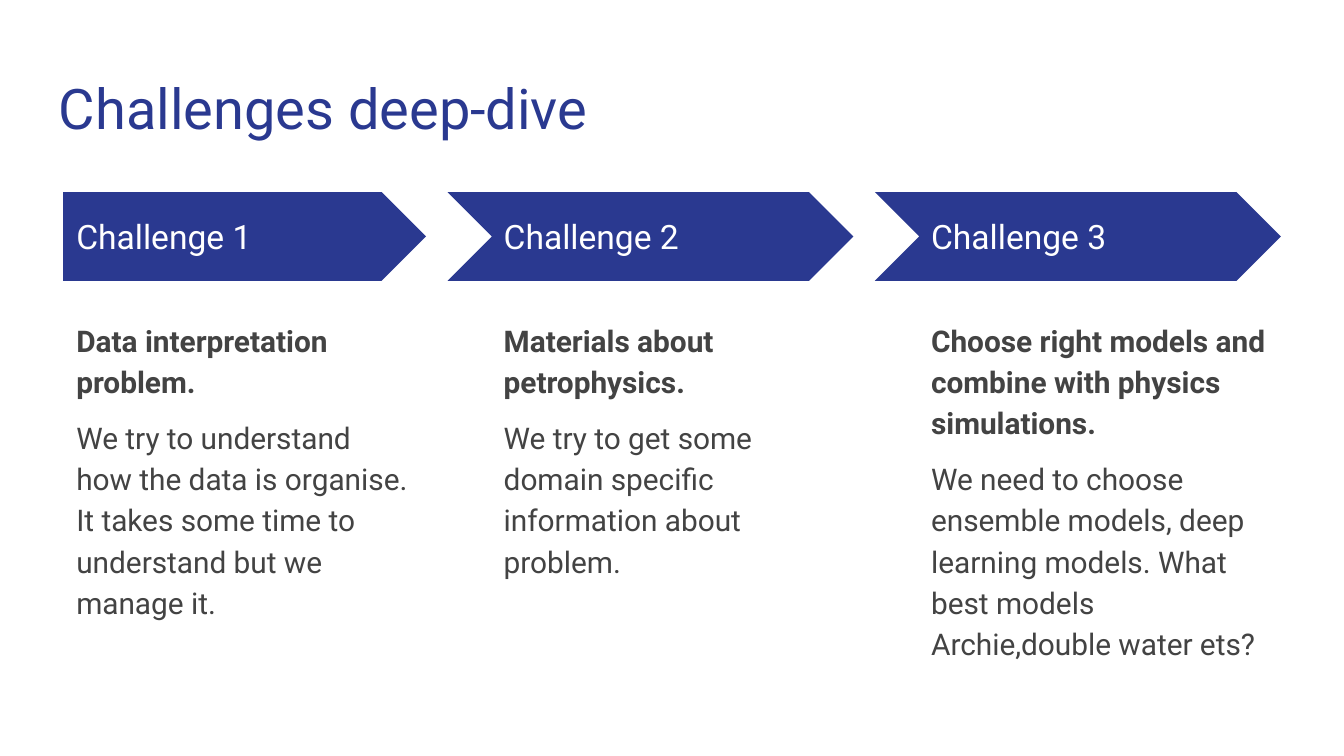
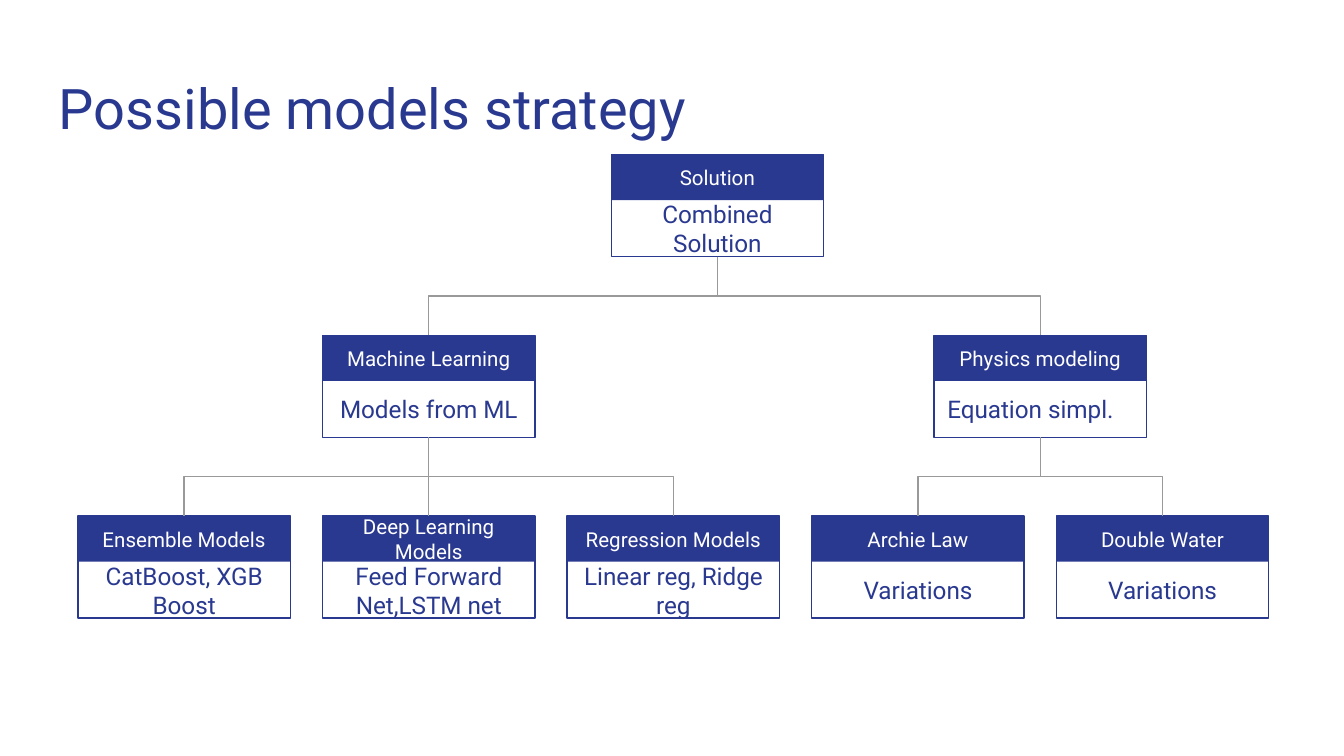
from dataclasses import dataclass
from typing import Any

from lxml import etree
from pptx import Presentation
from pptx import util as u
from pptx.dml.color import RGBColor
from pptx.enum import shapes, text
from pptx.oxml.ns import qn

COLORS = {"brand": "2A3990", "body": "434343", "white": "FFFFFF", "line": "999999"}
FONT = "Roboto"
LEFT, CENTER = text.PP_ALIGN.LEFT, text.PP_ALIGN.CENTER
TOP, MIDDLE = text.MSO_ANCHOR.TOP, text.MSO_ANCHOR.MIDDLE
SLIDE_W, SLIDE_H = 10, 10 * 9 / 16


@dataclass(frozen=True)
class Box:
    x: float
    y: float
    w: float
    h: float

    def emu(self) -> list[int]:
        return [u.Inches(v) for v in (self.x, self.y, self.w, self.h)]


@dataclass(frozen=True)
class Grid:
    x: float
    y: float
    col_pitch: float
    row_pitch: float
    w: float
    h: float

    def cell(self, col: float, row: float) -> Box:
        return Box(self.x + col * self.col_pitch, self.y + row * self.row_pitch, self.w, self.h)


@dataclass(frozen=True)
class Para:
    words: str
    size: float
    color: str
    bold: bool = False
    align: Any = LEFT
    line_spacing: float = 1.0
    space: float = 0


@dataclass(frozen=True)
class Challenge:
    label: str
    heading: str
    detail: str


@dataclass(frozen=True)
class Node:
    header: str
    detail: str
    col: float
    children: tuple["Node", ...] = ()
    align: Any = CENTER


TITLE = Box(0.34, 0.08 * SLIDE_H, SLIDE_W - 2 * 0.34, 0.66)

STEPS = Grid(x=0.47, y=1.43, col_pitch=3.18, row_pitch=0.83, w=2.7, h=0.66)
NOTCH = 0.32
STEP_LABEL_W, STEP_LABEL_H = 2.47, 0.34
DETAIL_H = 2.9

TREE = Grid(x=0.58, y=1.15, col_pitch=1.82, row_pitch=2.69 / 2, w=1.58, h=0.76)
HEADER_H, CARD_TEXT_H = 0.34, 0.21

CHALLENGES = (
    Challenge("Challenge 1", "Data interpretation problem.",
              "We try to understand how the data is organise. "
              "It takes some time to understand but we manage it."),
    Challenge("Challenge 2", "Materials about petrophysics.",
              "We try to get some domain specific information about problem."),
    Challenge("Challenge 3", "Choose right models and combine with physics simulations.",
              "We need to choose ensemble models, deep learning models. "
              "What best models Archie,double water ets?"),
)

SOLUTION = Node("Solution", "Combined Solution", 2.18, (
    Node("Machine Learning", "Models from ML", 1, (
        Node("Ensemble Models", "CatBoost, XGB Boost", 0),
        Node("Deep Learning Models", "Feed Forward Net,LSTM net", 1),
        Node("Regression Models", "Linear reg, Ridge reg", 2),
    )),
    Node("Physics modeling", "Equation simpl.", 3.5, (
        Node("Archie Law", "Variations", 3),
        Node("Double Water", "Variations", 4),
    ), LEFT),
))


def rgb(name: str) -> RGBColor:
    return RGBColor.from_string(COLORS[name])


def assign(target: Any, values: dict[str, Any]) -> None:
    for name, value in values.items():
        setattr(target, name, value)


def add_text(s: Any, box: Box, paras: list[Para], anchor: Any = TOP) -> None:
    tf = s.shapes.add_textbox(*box.emu()).text_frame
    assign(tf, {"word_wrap": True, "auto_size": text.MSO_AUTO_SIZE.NONE,
                "vertical_anchor": anchor})
    assign(tf, {f"margin_{side}": u.Inches(0.1) for side in ("left", "top", "right", "bottom")})
    for i, para in enumerate(paras):
        p = tf.add_paragraph() if i else tf.paragraphs[0]
        assign(p, {"alignment": para.align, "line_spacing": para.line_spacing,
                   "space_before": u.Pt(para.space), "space_after": u.Pt(para.space)})
        r = p.add_run()
        r.text = para.words
        assign(r.font, {"name": FONT, "size": u.Pt(para.size), "bold": para.bold})
        r.font.color.rgb = rgb(para.color)


def add_shape(s: Any, kind: Any, box: Box, filled: bool = True) -> Any:
    sp = s.shapes.add_shape(kind, *box.emu())
    sp.shadow.inherit = False
    if filled:
        sp.fill.solid()
        sp.fill.fore_color.rgb = rgb("brand")
        sp.line.fill.background()
    else:
        sp.fill.background()
        sp.line.color.rgb = rgb("brand")
        sp.line.width = u.Pt(0.75)
    return sp


def add_slide(prs: Any, title: str) -> Any:
    s = prs.slides.add_slide(prs.slide_layouts[6])
    add_text(s, TITLE, [Para(title, 30, "brand")])
    return s


def add_challenge(s: Any, col: int, item: Challenge) -> None:
    arrow = STEPS.cell(col, 0)
    kind = shapes.MSO_SHAPE.PENTAGON
    if col:
        kind = shapes.MSO_SHAPE.CHEVRON
        arrow = Box(arrow.x - NOTCH, arrow.y, arrow.w + NOTCH, arrow.h)
    add_shape(s, kind, arrow).adjustments[0] = 0.5
    label, detail = STEPS.cell(col, 0), STEPS.cell(col, 1)
    add_text(s, Box(label.x, label.y + (label.h - STEP_LABEL_H) / 2, STEP_LABEL_W, STEP_LABEL_H),
             [Para(item.label, 18, "white")], MIDDLE)
    add_text(s, Box(detail.x, detail.y, detail.w, DETAIL_H), [
        Para(item.heading, 16, "body", bold=True, line_spacing=1.15),
        Para(item.detail, 16, "body", line_spacing=1.15, space=8),
    ])


def add_card(s: Any, node: Node, row: int) -> Any:
    box = TREE.cell(node.col, row)
    frame = add_shape(s, shapes.MSO_SHAPE.RECTANGLE, box, filled=False)
    header = Box(box.x, box.y, box.w, HEADER_H)
    body = Box(box.x, box.y + HEADER_H, box.w, box.h - HEADER_H)
    add_shape(s, shapes.MSO_SHAPE.RECTANGLE, header)
    for part, para in ((header, Para(node.header, 11, "white", align=CENTER)),
                       (body, Para(node.detail, 13, "brand", align=node.align))):
        y = part.y + (part.h - CARD_TEXT_H) / 2
        add_text(s, Box(part.x, y, part.w, CARD_TEXT_H), [para], MIDDLE)
    return frame


def link(s: Any, parent: Any, child: Any) -> None:
    x1, y1 = parent.left + parent.width // 2, parent.top + parent.height
    x2, y2 = child.left + child.width // 2, child.top
    if x1 == x2:
        c = s.shapes.add_connector(shapes.MSO_CONNECTOR.STRAIGHT, x1, y1, x2, y2)
        c.begin_connect(parent, 2)
        c.end_connect(child, 0)
    else:
        drop, span = y2 - y1, abs(x2 - x1)
        left, top = (x1 + x2 - drop) // 2, (y1 + y2 - span) // 2
        c = s.shapes.add_connector(shapes.MSO_CONNECTOR.ELBOW, left, top, left + drop, top + span)
        xfrm = c._element.spPr.find(qn("a:xfrm"))
        xfrm.set("rot", str((90 if x2 < x1 else 270) * 60000))
        if x2 > x1:
            xfrm.set("flipH", "1")
    c.line.color.rgb = rgb("line")
    c.line.width = u.Pt(0.75)
    etree.SubElement(c._element.spPr, qn("a:effectLst"))


def add_tree(s: Any, node: Node, row: int = 0) -> Any:
    card = add_card(s, node, row)
    for child in node.children:
        link(s, card, add_tree(s, child, row + 1))
    return card


def main() -> None:
    prs = Presentation()
    assign(prs, {"slide_width": u.Inches(SLIDE_W), "slide_height": u.Inches(SLIDE_H)})
    s = add_slide(prs, "Challenges deep-dive")
    for col, item in enumerate(CHALLENGES):
        add_challenge(s, col, item)
    add_tree(add_slide(prs, "Possible models strategy"), SOLUTION)
    prs.save("out.pptx")


if __name__ == "__main__":
    main()
